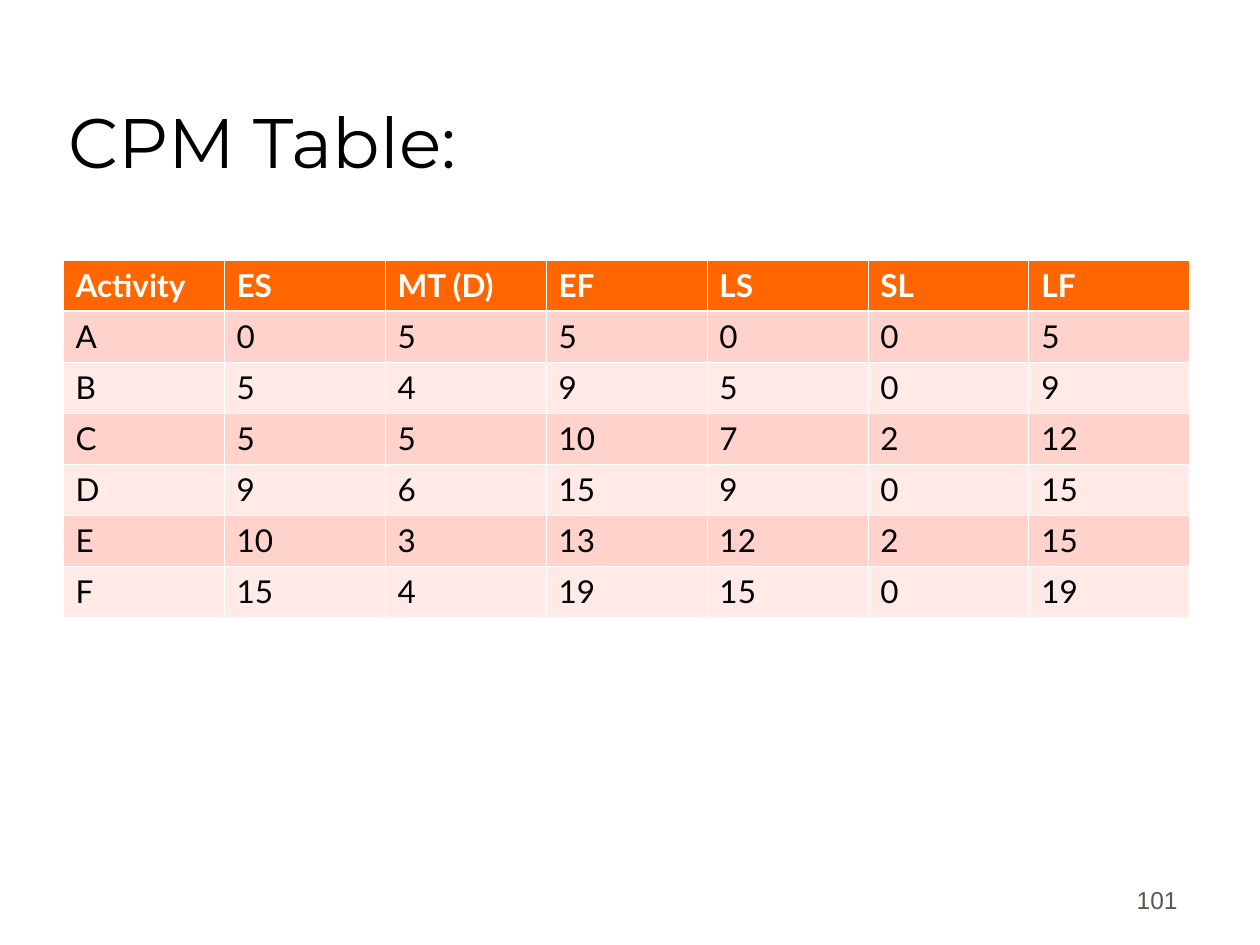
"""Build the CPM table slide."""
from lxml import etree
from pptx import Presentation
from pptx.dml.color import RGBColor
from pptx.enum.text import MSO_ANCHOR, PP_ALIGN
from pptx.oxml.ns import qn
from pptx.util import Pt

BOTTOM = MSO_ANCHOR.BOTTOM
LEFT = PP_ALIGN.LEFT
RIGHT = PP_ALIGN.RIGHT
BLACK = RGBColor(0x00, 0x00, 0x00)
WHITE = RGBColor(0xFF, 0xFF, 0xFF)
ORANGE = RGBColor(0xFF, 0x66, 0x00)
ROSE = RGBColor(0xFF, 0xD3, 0xCB)
BLUSH = RGBColor(0xFF, 0xEA, 0xE7)
GRAY = RGBColor(0x5E, 0x57, 0x4E)

HEAD = ("Activity", "ES", "MT (D)", "EF", "LS", "SL", "LF")
TASKS = (
    ("A", 0, 5, 5, 0, 0, 5),
    ("B", 5, 4, 9, 5, 0, 9),
    ("C", 5, 5, 10, 7, 2, 12),
    ("D", 9, 6, 15, 9, 0, 15),
    ("E", 10, 3, 13, 12, 2, 15),
    ("F", 15, 4, 19, 15, 0, 19),
)


class Deck:
    """Hold the style and the current slide."""

    def __init__(self):
        """Open a deck with one title-only slide."""
        self.deck = Presentation()
        self.deck.slide_width, self.deck.slide_height = Pt(720), Pt(540)
        self.slide = self.deck.slides.add_slide(self.deck.slide_layouts[5])
        self.thin, self.thick = Pt(0.45), Pt(1.47)

    def style(self, frame, face, size, color, bold=False, align=LEFT):
        """Format every paragraph of a text frame."""
        for para in frame.paragraphs:
            para.alignment = align
            for run in para.runs:
                font = run.font
                font.name, font.size, font.bold = face, Pt(size), bold
                font.color.rgb = color

    def place(self, shape, left, top, width, height):
        """Set the place and size of a shape."""
        shape.left, shape.top = Pt(left), Pt(top)
        shape.width, shape.height = Pt(width), Pt(height)

    def title(self, text, *box):
        """Fill and format the title."""
        shape = self.slide.shapes.title
        self.place(shape, *box)
        frame = shape.text_frame
        frame.text = text
        frame.vertical_anchor = BOTTOM
        self.style(frame, "Montserrat", 40, BLACK)

    def edge(self, cell, side, width):
        """Draw one white cell border."""
        props = cell._tc.get_or_add_tcPr()
        line = etree.SubElement(props, qn(f"a:ln{side}"), w=str(width))
        fill = etree.SubElement(line, qn("a:solidFill"))
        etree.SubElement(fill, qn("a:srgbClr"), val=str(WHITE))

    def cell(self, cell, text, row):
        """Fill and format one table cell."""
        cell.text = str(text)
        head = row == 0
        self.style(cell.text_frame, "Lato", 18, WHITE if head else BLACK, head)
        for side in "LRTB":
            heavy = (row, side) in ((0, "B"), (1, "T"))
            self.edge(cell, side, self.thick if heavy else self.thin)
        cell.fill.solid()
        cell.fill.fore_color.rgb = ORANGE if head else ROSE if row % 2 else BLUSH

    def table(self, rows, left, top, wide, high):
        """Add a table with equal rows and columns."""
        count, span = len(rows), len(rows[0])
        table = self.slide.shapes.add_table(
            count, span, Pt(left), Pt(top), Pt(wide * span), Pt(high * count)
        ).table
        for col in table.columns:
            col.width = Pt(wide)
        for r, row in enumerate(rows):
            table.rows[r].height = Pt(high)
            for c, text in enumerate(row):
                self.cell(table.cell(r, c), text, r)

    def number(self, text, *box):
        """Add the page number."""
        shape = self.slide.shapes.add_textbox(*map(Pt, box))
        frame = shape.text_frame
        frame.word_wrap = True
        frame.text = text
        frame.vertical_anchor = BOTTOM
        self.style(frame, "Arial", 14, GRAY, align=RIGHT)


def main():
    """Build and save the slide."""
    deck = Deck()
    deck.title("CPM Table:", 32, 18, 612, 90)
    deck.table((HEAD, *TASKS), 36, 148.5, 92, 29.2)
    deck.number("101", 530, 490, 150, 36)
    deck.deck.save("out.pptx")


if __name__ == "__main__":
    main()
